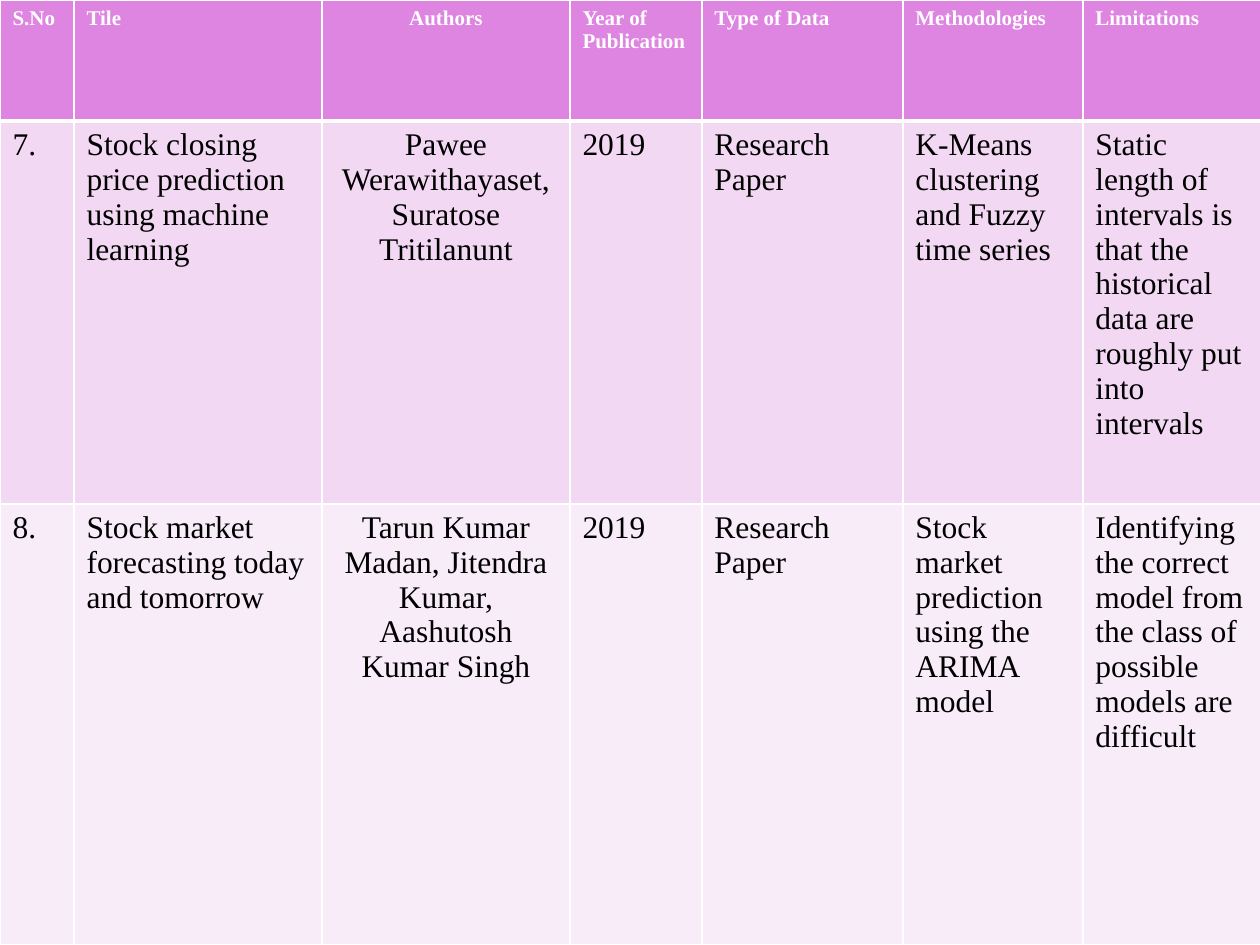
import pptx
import pptx.util
import pptx.dml.color
import pptx.enum.text
import pptx.oxml
import lxml.etree

INK = {
    "white": "FFFFFF", "black": "000000", "head": "DE85E1",
    "odd": "F2D8F3", "even": "F8ECF9", "top": "E9C8EE", "base": "88AEDB",
}
COLS = [74, 248, 248, 132, 201, 180, 181]
ROWS = [121, 383, 441]
FILLS = ["head", "odd", "even"]
THIN, THICK = 0.96, 3
MID = 2
TEXT = [
    ["S.No", "Tile", "Authors", "Year of Publication", "Type of Data",
     "Methodologies", "Limitations"],
    ["7.", "Stock closing price prediction using machine\nlearning",
     "Pawee Werawithayaset, Suratose Tritilanunt", "2019", "Research Paper",
     "K-Means clustering and Fuzzy time series",
     "Static length of intervals is that the historical data are roughly "
     "put into intervals"],
    ["8.", "Stock market forecasting today and tomorrow",
     "Tarun Kumar Madan, Jitendra Kumar, Aashutosh Kumar Singh", "2019",
     "Research Paper", "Stock market prediction using the ARIMA model",
     "Identifying the correct model from the class of possible models are "
     "difficult"],
]


def px(n):
    return pptx.util.Emu(n * 914400 // 126)


def tint(name):
    return pptx.dml.color.RGBColor.from_string(INK[name])


class Deck:
    font = "Times New Roman"

    def __init__(self, wide, high):
        self.show = pptx.Presentation()
        self.show.slide_width = px(wide)
        self.show.slide_height = px(high)
        self.slide = self.show.slides.add_slide(self.show.slide_layouts[6])

    def back(self, top, base):
        fill = self.slide.background.fill
        fill.gradient()
        fill.gradient_angle = 270
        for stop, name, pos in zip(fill.gradient_stops, (top, base), (0, 1)):
            stop.color.rgb = tint(name)
            stop.position = pos

    def edge(self, cell, side, width):
        props = cell._tc.get_or_add_tcPr()
        name = pptx.oxml.ns.qn("a:ln" + side)
        line = lxml.etree.SubElement(props, name, w=str(pptx.util.Pt(width)))
        fill = lxml.etree.SubElement(line, pptx.oxml.ns.qn("a:solidFill"))
        lxml.etree.SubElement(
            fill, pptx.oxml.ns.qn("a:srgbClr"), val=INK["white"])

    def words(self, cell, text, size, color, bold, align):
        frame = cell.text_frame
        for i, part in enumerate(text.split("\n")):
            para = frame.add_paragraph() if i else frame.paragraphs[0]
            para.alignment = align
            run = para.add_run()
            run.text = part
            run.font.name = self.font
            run.font.size = pptx.util.Pt(size)
            run.font.bold = bold
            run.font.color.rgb = tint(color)

    def table(self, cols, rows, text):
        grid = self.slide.shapes.add_table(
            len(rows), len(cols), 0, 0, px(sum(cols)), px(sum(rows))).table
        for col, wide in zip(grid.columns, cols):
            col.width = px(wide)
        for r, high in enumerate(rows):
            grid.rows[r].height = px(high)
            head = r == 0
            edges = {"L": THIN, "R": THIN,
                     "T": THICK if r == 1 else THIN,
                     "B": THICK if head else THIN}
            size, color = (12, "white") if head else (18, "black")
            for c, label in enumerate(text[r]):
                cell = grid.cell(r, c)
                for side, width in edges.items():
                    self.edge(cell, side, width)
                cell.fill.solid()
                cell.fill.fore_color.rgb = tint(FILLS[r])
                kind = pptx.enum.text.PP_ALIGN
                align = kind.CENTER if c == MID else kind.LEFT
                self.words(cell, label, size, color, head, align)


def main():
    deck = Deck(1260, 945)
    deck.back("top", "base")
    deck.table(COLS, ROWS, TEXT)
    deck.show.save("out.pptx")


if __name__ == "__main__":
    main()
